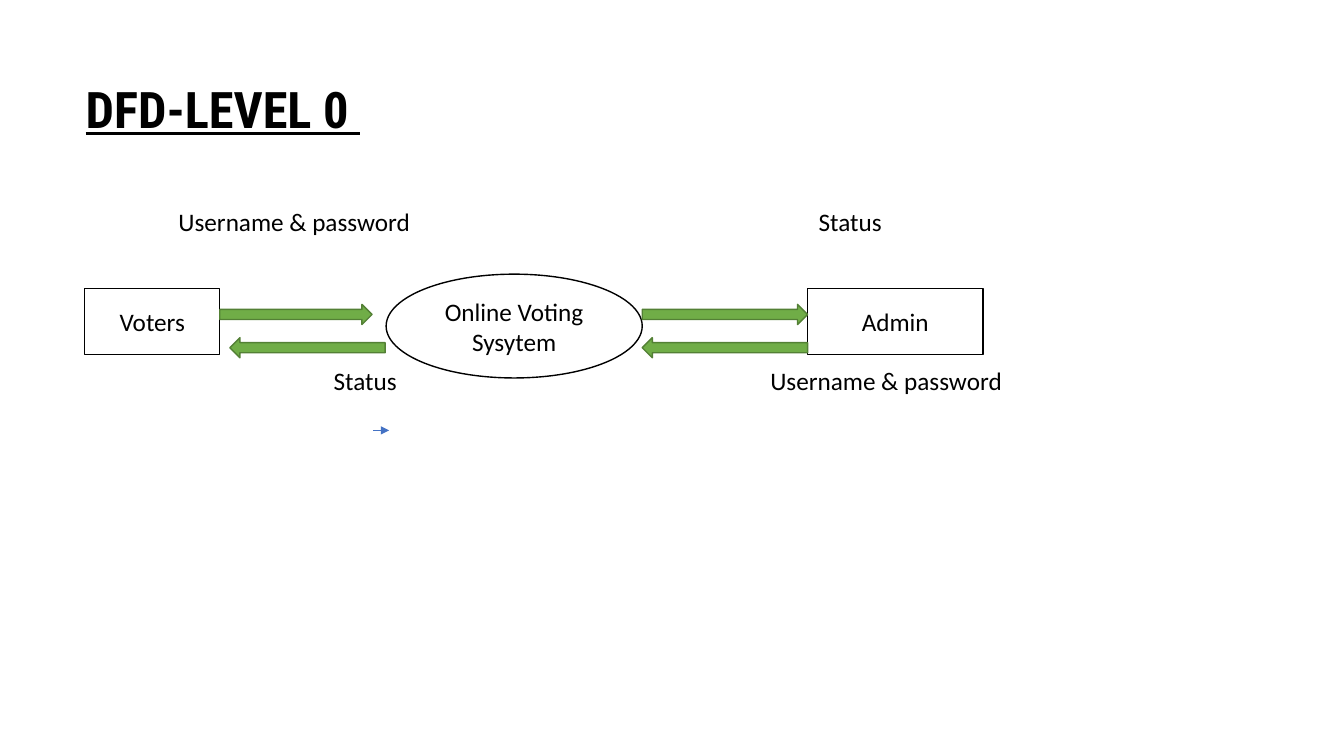
"""Builds the level 0 data flow diagram slide of an online voting system."""
from lxml import etree
from pptx import Presentation
from pptx import util as u
from pptx.dml.color import RGBColor
from pptx.enum import shapes, text
from pptx.oxml import ns

THEME = {
    "ink": RGBColor.from_string("000000"),
    "paper": RGBColor.from_string("FFFFFF"),
    "flow": RGBColor.from_string("70AD47"),
    "flow_edge": RGBColor.from_string("538035"),
    "accent": RGBColor.from_string("4472C4"),
    "heading": {"name": "Roboto Condensed", "size": u.Pt(36), "bold": True, "underline": True},
    "body": {"name": "Calibri", "size": u.Pt(18)},
}
KIND = shapes.MSO_SHAPE

HEADING = ("DFD-LEVEL 0 ", 0.85, 0.8, 9.13, 0.55)
NODES = [
    ("Voters", KIND.RECTANGLE, 0.84, 2.86, 1.34, 0.66),
    ("Online Voting Sysytem", KIND.OVAL, 3.83, 2.72, 2.54, 1.03),
    ("Admin", KIND.RECTANGLE, 8.01, 2.86, 1.74, 0.66),
]
FLOWS = {
    KIND.RIGHT_ARROW: (3.02, [(2.18, 3.69), (6.37, 8.01)]),
    KIND.LEFT_ARROW: (3.35, [(2.28, 3.82), (6.37, 8.01)]),
}
FLOW_HEIGHT = 0.2
LABEL_SIZE = (2.6, 0.4)
LABELS = [
    ("Username & password", 1.77, 2.0),
    ("Status", 8.12, 2.0),
    ("Status", 3.31, 3.57),
    ("Username & password", 7.64, 3.57),
]
SMALL_ARROW = (3.7, 4.27, 3.86, 4.27)


def inches(*lengths):
    return [u.Inches(length) for length in lengths]


def write(frame, words, font_format, alignment):
    frame.word_wrap = True
    frame.vertical_anchor = text.MSO_ANCHOR.MIDDLE
    paragraph = frame.paragraphs[0]
    paragraph.alignment = alignment
    run = paragraph.add_run()
    run.text = words
    run.font.color.rgb = THEME["ink"]
    for name, value in font_format.items():
        setattr(run.font, name, value)


def add_text(slide, words, box, font_format):
    frame = slide.shapes.add_textbox(*inches(*box)).text_frame
    for side in ("left", "top", "right", "bottom"):
        setattr(frame, f"margin_{side}", 0)
    write(frame, words, font_format, text.PP_ALIGN.LEFT)


def add_block(slide, kind, box, fill, edge):
    shape = slide.shapes.add_shape(kind, *inches(*box))
    shape.shadow.inherit = False
    shape.fill.solid()
    shape.fill.fore_color.rgb = THEME[fill]
    shape.line.color.rgb = THEME[edge]
    shape.line.width = u.Pt(1)
    return shape


def add_small_arrow(slide):
    connector = slide.shapes.add_connector(shapes.MSO_CONNECTOR.STRAIGHT, *inches(*SMALL_ARROW))
    connector.line.color.rgb = THEME["accent"]
    connector.line.width = u.Pt(0.5)
    etree.SubElement(connector.line._get_or_add_ln(), ns.qn("a:tailEnd"), type="triangle")
    etree.SubElement(connector._element.spPr, ns.qn("a:effectLst"))


def main():
    presentation = Presentation()
    presentation.slide_width, presentation.slide_height = inches(13.33, 7.5)
    slide = presentation.slides.add_slide(presentation.slide_layouts[6])

    words, *box = HEADING
    add_text(slide, words, box, THEME["heading"])
    for words, left, top in LABELS:
        add_text(slide, words, (left, top, *LABEL_SIZE), THEME["body"])
    for words, kind, *box in NODES:
        node = add_block(slide, kind, box, "paper", "ink")
        write(node.text_frame, words, THEME["body"], text.PP_ALIGN.CENTER)
    add_small_arrow(slide)
    for kind, (top, spans) in FLOWS.items():
        for start, end in spans:
            add_block(slide, kind, (start, top, end - start, FLOW_HEIGHT), "flow", "flow_edge")

    presentation.save("out.pptx")


if __name__ == "__main__":
    main()
